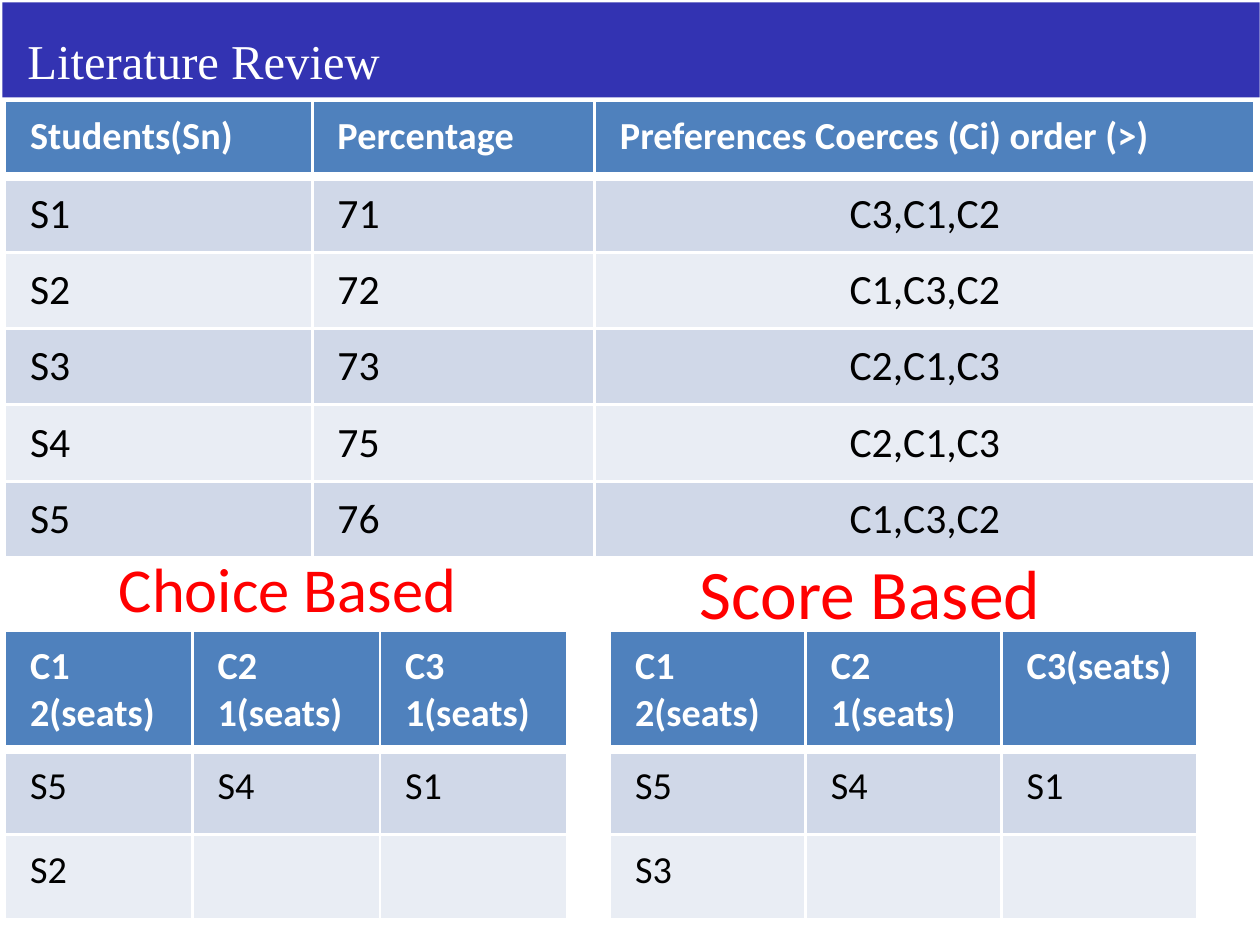
import pptx
import pptx.util
import pptx.dml.color
import pptx.enum.shapes
import pptx.enum.text
import pptx.oxml
import pptx.oxml.ns
import lxml.etree
import dataclasses

Inches = pptx.util.Inches
Pt = pptx.util.Pt
Align = pptx.enum.text.PP_ALIGN
qn = pptx.oxml.ns.qn


@dataclasses.dataclass
class Theme:
    bar: str = "3333B2"
    head: str = "4F81BD"
    bands: tuple = ("D0D8E8", "E9EDF4")
    white: str = "FFFFFF"
    black: str = "000000"
    red: str = "FF0000"
    body: str = "Calibri"
    serif: str = "Times New Roman"
    small: float = 11
    main: float = 12
    title: float = 14
    choice: float = 18
    score: float = 20


def apply(item, values):
    for name, value in values.items():
        setattr(item, name, value)


def color(code):
    return pptx.dml.color.RGBColor.from_string(code)


class Deck:
    def __init__(self, theme, width, height):
        self.theme = theme
        self.show = pptx.Presentation()
        apply(self.show, {"slide_width": Inches(width), "slide_height": Inches(height)})
        self.slide = self.show.slides.add_slide(self.show.slide_layouts[6])

    def words(self, frame, text, size, ink, face=None, bold=False, align=Align.LEFT):
        line = frame.paragraphs[0]
        line.alignment = align
        if text:
            run = line.add_run()
            run.text = text
            apply(run.font, {"size": Pt(size), "name": face or self.theme.body, "bold": bold})
            run.font.color.rgb = color(ink)
        else:
            # Keep an empty cell as low as its row
            lxml.etree.SubElement(line._p, qn("a:endParaRPr"), sz=str(int(size * 100)))
        return line

    def bar(self, box, fill):
        kind = pptx.enum.shapes.MSO_SHAPE.RECTANGLE
        shape = self.slide.shapes.add_shape(kind, *map(Inches, box))
        shape.shadow.inherit = False
        shape.fill.solid()
        shape.fill.fore_color.rgb = color(fill)
        shape.line.fill.background()

    def label(self, box, text, size, ink, inset=None, **style):
        frame = self.slide.shapes.add_textbox(*map(Inches, box)).text_frame
        frame.word_wrap = True
        if inset is not None:
            sides = ("left", "top", "right", "bottom")
            apply(frame, {f"margin_{side}": Inches(inset) for side in sides})
        return self.words(frame, text, size, ink, **style)

    def edge(self, cell, foot):
        props = cell._tc.get_or_add_tcPr()
        for side, width in (("L", 1), ("R", 1), ("T", 1), ("B", foot)):
            line = lxml.etree.SubElement(props, qn(f"a:ln{side}"), w=str(Pt(width)))
            fill = lxml.etree.SubElement(line, qn("a:solidFill"))
            lxml.etree.SubElement(fill, qn("a:srgbClr"), val=self.theme.white)

    def table(self, spot, widths, heights, rows, size, center=()):
        look = self.theme
        box = (*spot, sum(widths), sum(heights))
        grid = self.slide.shapes.add_table(
            len(rows), len(widths), *map(Inches, box)).table
        for col, width in zip(grid.columns, widths):
            col.width = Inches(width)
        for r, (row, height) in enumerate(zip(rows, heights)):
            grid.rows[r].height = Inches(height)
            head = r == 0
            for c, text in enumerate(row):
                cell = grid.cell(r, c)
                self.edge(cell, 3 if head else 1)
                cell.fill.solid()
                cell.fill.fore_color.rgb = color(look.head if head else look.bands[(r - 1) % 2])
                mid = c in center and not head
                self.words(cell.text_frame, text,
                           look.small if head else size,
                           look.white if head else look.black,
                           bold=head, align=Align.CENTER if mid else Align.LEFT)


def main():
    look = Theme()
    deck = Deck(look, 5.04, 3.79)

    # Student choices
    orders = ["C3,C1,C2", "C1,C3,C2", "C2,C1,C3", "C2,C1,C3", "C1,C3,C2"]
    marks = [71, 72, 73, 75, 76]
    rows = [("Students(Sn)", "Percentage", "Preferences Coerces (Ci) order (>)")]
    rows += [(f"S{n}", str(mark), order)
             for n, (mark, order) in enumerate(zip(marks, orders), 1)]
    deck.table((0.02, 0.4), (1.23, 1.13, 2.64), [1.83 / 6] * 6, rows, look.main, center=(2,))

    # Seats given by each method
    seats = [
        (0.02, 2.25, (0.47, 0.34, 0.34), "C3 1(seats)", "S2"),
        (2.44, 2.35, (0.46, 0.34, 0.34), "C3(seats)", "S3"),
    ]
    for left, width, heights, third, last in seats:
        rows = [("C1 2(seats)", "C2 1(seats)", third), ("S5", "S4", "S1"), (last, "", "")]
        deck.table((left, 2.52), [width / 3] * 3, heights, rows, look.small)

    # Method names
    deck.label((0.19, 2.15, 1.92, 0.4), "Choice Based", look.choice, look.red,
               align=Align.CENTER)
    deck.label((2.52, 2.15, 1.92, 0.44), "Score Based", look.score, look.red,
               align=Align.CENTER)

    # Title bar
    deck.bar((0.01, 0.01, 5.03, 0.38), look.bar)
    title = deck.label((0.11, 0.15, 3.62, 0.23), "Literature Review", look.title,
                       look.white, inset=0, face=look.serif)
    apply(title, {"line_spacing": Pt(14.8), "space_before": Pt(0.7)})

    deck.show.save("out.pptx")


if __name__ == "__main__":
    main()
